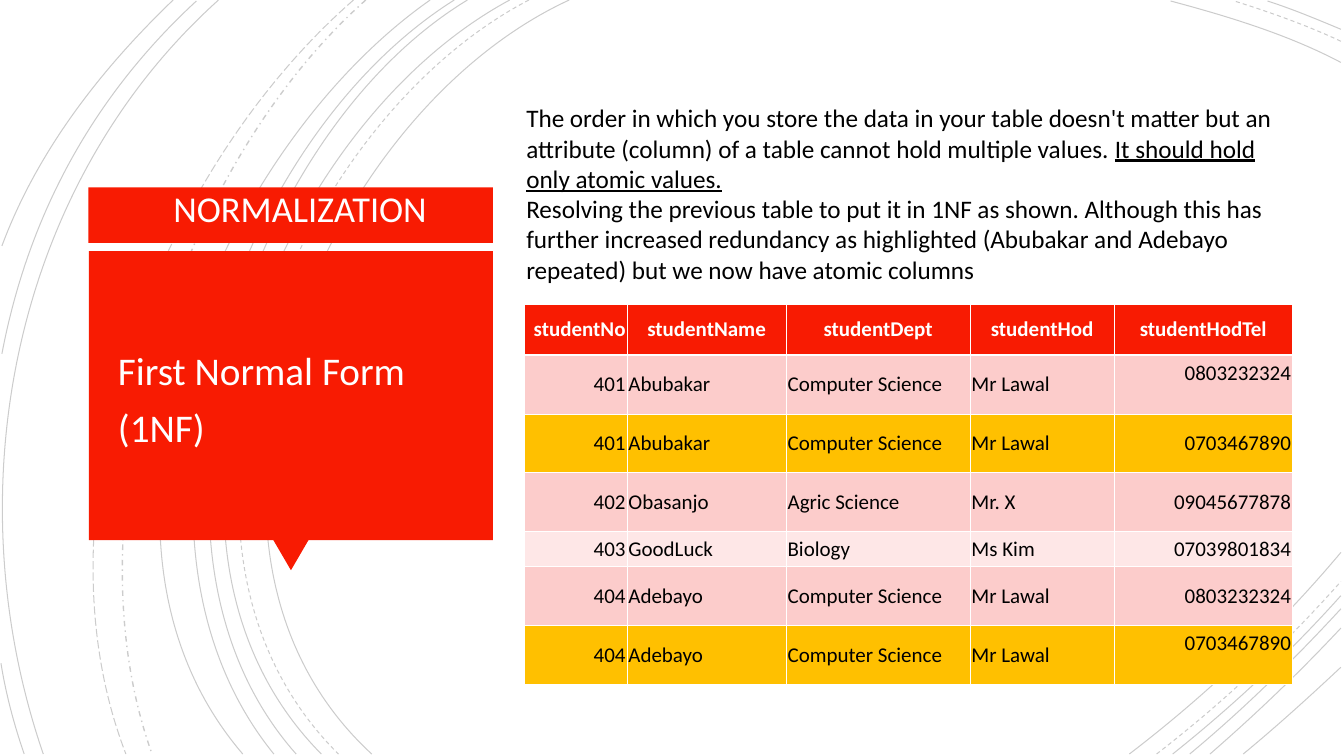
from pptx import Presentation
from pptx.dml.color import RGBColor
from pptx.enum.dml import MSO_LINE
from pptx.enum.shapes import MSO_SHAPE
from pptx.enum.text import MSO_ANCHOR, PP_ALIGN
from pptx.oxml import parse_xml
from pptx.oxml.ns import nsdecls, qn
from pptx.util import Pt
from lxml.etree import SubElement

RED, GOLD, PINK, PALE = "F81B02", "FFC000", "FCCCCB", "FEE7E7"
WHITE, OFF_WHITE, BLACK = "FFFFFF", "FFFEFF", "000000"
SOLID, DASH = MSO_LINE.SOLID, MSO_LINE.DASH
LEFT, CENTER, RIGHT = PP_ALIGN.LEFT, PP_ALIGN.CENTER, PP_ALIGN.RIGHT
BOTTOM = 538.6  # where the background arcs end


def rgb(value):
    return RGBColor.from_string(value)


class Deck:
    font = "Calibri"

    def __init__(self, width, height):
        self.prs = Presentation()
        self.prs.slide_width, self.prs.slide_height = Pt(width), Pt(height)
        self.s = self.prs.slides.add_slide(self.prs.slide_layouts[6])

    def style(self, r, size, color, bold=False, underline=False):
        r.font.name, r.font.size = self.font, Pt(size)
        r.font.color.rgb = rgb(color)
        r.font.bold, r.font.underline = bold, underline

    def block(self, kind, x, y, w, h, color, rotation=0):
        sp = self.s.shapes.add_shape(kind, Pt(x), Pt(y), Pt(w), Pt(h))
        sp.shadow.inherit = False
        sp.fill.solid()
        sp.fill.fore_color.rgb = rgb(color)
        sp.line.fill.background()
        sp.rotation = rotation

    def arc(self, points, dash=SOLID, width=0.75):
        """Draw a cubic curve from its two ends and two control points."""
        start, *rest = [(Pt(x), Pt(y)) for x, y in points]
        builder = self.s.shapes.build_freeform(*start)
        builder.add_line_segments(rest, close=False)
        sp = builder.convert_to_shape()

        # Join the three straight segments into one curve
        outline = sp._element.find(".//" + qn("a:path"))
        curve = SubElement(outline, qn("a:cubicBezTo"))
        for segment in outline.findall(qn("a:lnTo")):
            curve.append(segment[0])
            outline.remove(segment)

        sp.shadow.inherit = False
        sp.fill.background()
        sp.line.color.rgb = rgb(BLACK)
        sp.line.width, sp.line.dash_style = Pt(width), dash
        color = sp.line._get_or_add_ln().find(".//" + qn("a:srgbClr"))
        SubElement(color, qn("a:alpha"), val="20000")

    def text(self, x, y, w, h, paragraphs, size, color, anchor=MSO_ANCHOR.TOP,
             align=LEFT, spacing=1.0, before=0):
        """Each paragraph is a list of (text, underlined) runs."""
        tf = self.s.shapes.add_textbox(Pt(x), Pt(y), Pt(w), Pt(h)).text_frame
        tf.word_wrap, tf.vertical_anchor = True, anchor
        for i, runs in enumerate(paragraphs):
            p = tf.add_paragraph() if i else tf.paragraphs[0]
            p.alignment, p.line_spacing, p.space_before = align, spacing, Pt(before)
            for words, underline in runs:
                r = p.add_run()
                r.text = words
                self.style(r, size, color, underline=underline)

    def cell(self, cell, words, fill, color, align, anchor, bold, edges):
        cell.text_frame.text = words
        cell.margin_left = cell.margin_right = Pt(1)
        cell.margin_top = cell.margin_bottom = Pt(3.6)
        cell.vertical_anchor = anchor
        p = cell.text_frame.paragraphs[0]
        p.alignment = align
        self.style(p.runs[0], 15, color, bold)
        cell.fill.solid()
        cell.fill.fore_color.rgb = rgb(fill)
        tc_pr = cell._tc.get_or_add_tcPr()
        for i, (side, width) in enumerate(edges.items()):
            tc_pr.insert(i, parse_xml(
                f'<a:ln{side} {nsdecls("a")} w="{Pt(width)}"><a:solidFill>'
                f'<a:srgbClr val="{WHITE}"/></a:solidFill></a:ln{side}>'))

    def table(self, x, y, widths, heights, rows, fills, aligns, top_cells):
        table = self.s.shapes.add_table(len(rows), len(widths), Pt(x), Pt(y),
                                        Pt(sum(widths)), Pt(sum(heights))).table
        table.horz_banding = False
        for column, width in zip(table.columns, widths):
            column.width = Pt(width)
        for i, row in enumerate(rows):
            table.rows[i].height = Pt(heights[i])
            header = i == 0
            edges = {"L": 0.45, "R": 0.45, "T": 1.47 if i == 1 else 0.45,
                     "B": 1.47 if header else 0.45}
            for j, words in enumerate(row):
                align = CENTER if header and j else aligns[j]
                anchor = MSO_ANCHOR.TOP if (i, j) in top_cells else MSO_ANCHOR.MIDDLE
                self.cell(table.cell(i, j), words, fills[i], WHITE if header else BLACK,
                          align, anchor, header, edges)


def main():
    deck = Deck(960.48, 540)

    # Long background arcs: top x, two control points, bottom x, line style
    for top, c1, c2, end, *line in (
        (406.8, (226.8, 82.8), (103, 388.8), 265.7),
        (378, (205.2, 90), (88.6, 386.6), 241.9, DASH),
        (364.3, (194.4, 91.4), (79.2, 386.6), 229.7),
        (334.1, (175.7, 95.8), (79.2, 389.5), 211.7),
        (324.7, (166.3, 99.4), (69.8, 383.8), 195.8),
        (307.4, (156.2, 105.8), (38.2, 380.9), 173.5),
        (261.4, (126.7, 119.5), (46.8, 366.5), 108.7, MSO_LINE.DASH_DOT, 1),
        (252.7, (113, 121.7), (20.9, 359.3), 90, MSO_LINE.LONG_DASH),
        (156.2, (7.9, 133.2), (-33.1, 352.8), 31),
    ):
        deck.arc(((top, 0), c1, c2, (end, BOTTOM)), *line)

    # Short arcs cut off by the left edge
    for points in (
        ((140.4, 0.7), (66.2, 69.1), (20.2, 154.1), (1.4, 252.7)),
        ((0.7, 473.8), (4.3, 496.1), (10.1, 517.7), (17.3, BOTTOM)),
        ((123.8, 0), (72, 49.7), (26.6, 108), (1.4, 175.7)),
    ):
        deck.arc(points)

    # Corner arcs at the right edge: end y, two control points, start, line style
    for end, c1, c2, start, *line in (
        (44.6, (920.2, 24.5), (877, 11.5), (836.6, 0.7)),
        (29.5, (933.8, 18), (907.2, 8.6), (882, 0.7), DASH),
        (20.9, (941, 13.7), (923.8, 6.5), (905.8, 0.7)),
    ):
        deck.arc(((958.3, end), c1, c2, start), *line)
    for start, c1, c2, end, *line in (
        (807.1, (861.8, 496.8), (913.7, 447.8), 394.6),
        (826.6, (873.4, 502.6), (918, 460.8), 415.4, DASH),
        (838.1, (880.6, 504.7), (921.6, 466.6), 425.5),
        (850.3, (888.5, 506.9), (924.5, 471.6), 434.9),
        (864.7, (897.1, 510.5), (928.8, 480.2), 448.6),
        (888.5, (912.2, 519.1), (935.3, 498.2), 476.6),
    ):
        deck.arc(((start, BOTTOM), c1, c2, (958.3, end)), *line)

    # Red title panel with its pointer
    deck.block(MSO_SHAPE.RECTANGLE, 63.1, 133.9, 289.2, 39.6, RED)
    deck.block(MSO_SHAPE.ISOSCELES_TRIANGLE, 195.3, 385.7, 25.2, 21.6, RED, 180)
    deck.block(MSO_SHAPE.RECTANGLE, 63.5, 179.4, 288.8, 206.4, RED)
    deck.text(95.4, 133.2, 238.3, 35.3, [[("NORMALIZATION", False)]], 26, OFF_WHITE,
              MSO_ANCHOR.MIDDLE, CENTER, 0.85)
    deck.text(77.2, 196.6, 270, 169.2, [[("First Normal Form (1NF)", False)]], 28, WHITE,
              MSO_ANCHOR.MIDDLE, spacing=1.2, before=10)

    # Student table
    deck.table(
        374.7, 217.2, (73.4, 113.8, 131.4, 103, 127.4),
        (36.4, 42, 42, 42, 23, 42, 42.3),
        (("studentNo", "studentName", "studentDept", "studentHod", "studentHodTel"),
         ("401", "Abubakar", "Computer Science", "Mr Lawal", "0803232324"),
         ("401", "Abubakar", "Computer Science", "Mr Lawal", "0703467890"),
         ("402", "Obasanjo", "Agric Science", "Mr. X", "09045677878"),
         ("403", "GoodLuck", "Biology", "Ms Kim", "07039801834"),
         ("404", "Adebayo", "Computer Science", "Mr Lawal", "0803232324"),
         ("404", "Adebayo", "Computer Science", "Mr Lawal", "0703467890")),
        (RED, PINK, GOLD, PINK, PALE, PINK, GOLD),
        (RIGHT, LEFT, LEFT, LEFT, RIGHT), {(1, 4), (6, 4)})

    # Explanation above the table
    deck.text(369, 69.8, 555, 136.8, [
        [("The order in which you store the data in your table doesn't matter but an "
          "attribute (column) of a table cannot hold multiple values. ", False),
         ("It should hold only atomic values.", True)],
        [("Resolving the previous table to put it in 1NF as shown. Although this has "
          "further increased redundancy as highlighted (Abubakar and Adebayo repeated) "
          "but we now have atomic columns", False)],
    ], 18, BLACK)

    deck.prs.save("out.pptx")


if __name__ == "__main__":
    main()
